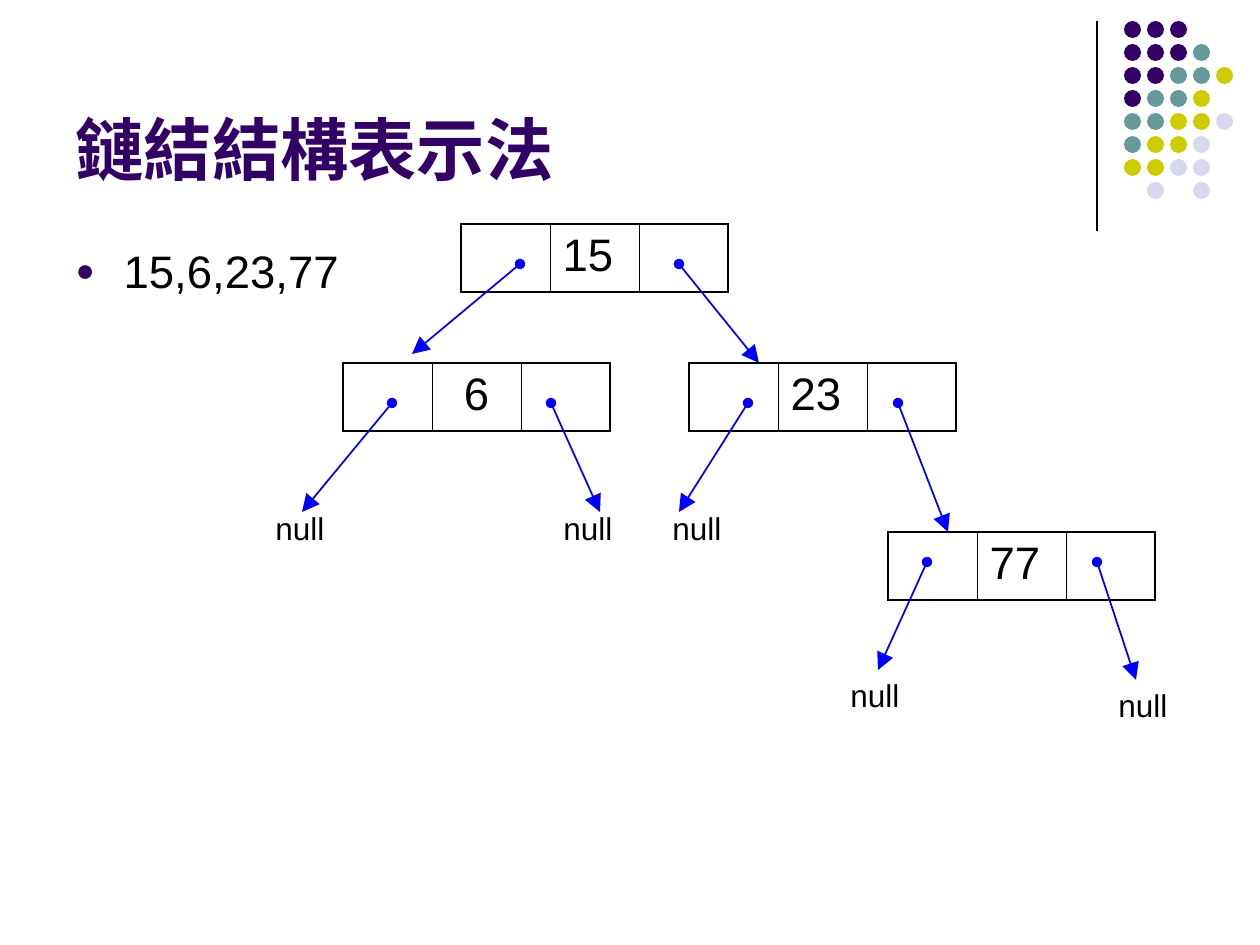
from lxml.etree import SubElement
from pptx import Presentation
from pptx.dml.color import RGBColor
from pptx.enum.shapes import MSO_CONNECTOR as LINE, MSO_SHAPE as SHAPE
from pptx.enum.text import MSO_ANCHOR as ANCHOR, MSO_AUTO_SIZE as FIT, PP_ALIGN as ALIGN
from pptx.oxml.ns import qn
from pptx.util import Inches, Pt

PURPLE = RGBColor(0x33, 0x00, 0x66)
TEAL = RGBColor(0x66, 0x99, 0x99)
OLIVE = RGBColor(0xCC, 0xCC, 0x00)
LILAC = RGBColor(0xD8, 0xD8, 0xEC)
BLACK = RGBColor(0x00, 0x00, 0x00)
BLUE = RGBColor(0x00, 0x00, 0xFF)

SCALE = Inches(1) / 126
CELL, ROW = 89, 68
DOTS = ["PPP", "PPPT", "PPTTO", "PTTO", "TTOOL", "TOOL", "OOLL", " L L"]
INKS = {"P": PURPLE, "T": TEAL, "O": OLIVE, "L": LILAC}

# Key, left, top, alignment, then links: start and end from the node's corner,
# and the offset of a null label from the link's end (None if it meets a node).
NODES = [
    ("15", 461, 224, ALIGN.LEFT, [((59, 40), (-49, 130), None),
                                  ((218, 40), (298, 139), None)]),
    ("23", 689, 363, ALIGN.LEFT, [((59, 40), (-10, 149), (-19, -9)),
                                  ((209, 40), (259, 169), None)]),
    ("6", 343, 363, ALIGN.CENTER, [((49, 40), (-41, 149), (-39, -9)),
                                   ((208, 40), (257, 149), (-49, -9))]),
    ("77", 888, 532, ALIGN.LEFT, [((39, 30), (-10, 138), (-40, 0)),
                                  ((209, 30), (248, 148), (-30, 0))]),
]


def px(*nums):
    return [round(n * SCALE) for n in nums]


def style(para, size, color=BLACK, bold=False):
    para.space_before = Pt(0)
    font = para.font
    font.name, font.size, font.bold = "Arial", Pt(size), bold
    font.color.rgb = color


def place(shape, left, top, width, height):
    shape.left, shape.top, shape.width, shape.height = px(left, top, width, height)


def add_line(slide, start, end, color, width):
    line = slide.shapes.add_connector(LINE.STRAIGHT, *px(*start, *end))
    line.line.color.rgb = color
    line.line.width = Pt(width)
    SubElement(line._element.spPr, qn("a:effectLst"))
    return line


def add_link(slide, start, end):
    """Draw an arrow with a dot at its start."""
    ln = add_line(slide, start, end, BLUE, 1).line._get_or_add_ln()
    SubElement(ln, qn("a:headEnd"), type="oval")
    SubElement(ln, qn("a:tailEnd"), type="triangle", w="lg", len="lg")


def add_null(slide, left, top):
    frame = slide.shapes.add_textbox(*px(left, top, 100, 50)).text_frame
    frame.word_wrap = True
    frame.text = "null"
    style(frame.paragraphs[0], 18)


def set_edge(cell, side, width):
    ln = SubElement(cell._tc.get_or_add_tcPr(), qn("a:ln" + side), w=str(Pt(width)))
    fill = SubElement(ln, qn("a:solidFill"))
    SubElement(fill, qn("a:srgbClr"), val=str(BLACK))


def add_node(slide, key, left, top, align, links):
    """Draw a three-cell node with its links and null labels."""
    table = slide.shapes.add_table(1, 3, *px(left, top, 3 * CELL, ROW)).table
    table.first_row = table.horz_banding = False
    for i, cell in enumerate(table.rows[0].cells):
        set_edge(cell, "L", 1.08 if i == 0 else 0.45)
        set_edge(cell, "R", 1.08 if i == 2 else 0.45)
        set_edge(cell, "T", 1.08)
        set_edge(cell, "B", 1.08)
        cell.fill.background()
    mid = table.cell(0, 1)
    mid.text = key
    para = mid.text_frame.paragraphs[0]
    para.alignment = align
    style(para, 26)

    for start, (dx, dy), label in links:
        end = left + dx, top + dy
        add_link(slide, (left + start[0], top + start[1]), end)
        if label:
            add_null(slide, end[0] + label[0], end[1] + label[1])


def add_decor(slide, left, top):
    """Draw the rule and the dot pattern at the corner."""
    add_line(slide, (left, top), (left, top + 210), BLACK, 0.75)
    for r, row in enumerate(DOTS):
        for c, ink in enumerate(row):
            if ink in INKS:
                box = px(left + 27 + 23 * c, top + 23 * r, 17, 17)
                dot = slide.shapes.add_shape(SHAPE.OVAL, *box)
                dot.shadow.inherit = False
                dot.fill.solid()
                dot.fill.fore_color.rgb = INKS[ink]
                dot.line.fill.background()


def set_title(shape, text):
    place(shape, 63, 16, 1040, 179)
    frame = shape.text_frame
    frame.text = text
    frame.auto_size = FIT.NONE
    frame.vertical_anchor = ANCHOR.BOTTOM
    para = frame.paragraphs[0]
    para.alignment = ALIGN.LEFT
    style(para, 39, PURPLE, True)


def set_body(shape, text):
    place(shape, 63, 237, 557, 607)
    frame = shape.text_frame
    frame.text = text
    frame.auto_size = FIT.NONE
    para = frame.paragraphs[0]
    props = para._p.get_or_add_pPr()
    hang = px(48)[0]
    props.set("marL", str(hang))
    props.set("indent", str(-hang))
    ink = SubElement(props, qn("a:buClr"))
    SubElement(ink, qn("a:srgbClr"), val=str(PURPLE))
    SubElement(props, qn("a:buSzPct"), val="70000")
    SubElement(props, qn("a:buFont"), typeface="Arial")
    SubElement(props, qn("a:buChar"), char="●")
    style(para, 26)


def main():
    deck = Presentation()
    deck.slide_width, deck.slide_height = Inches(10), Inches(7.5)
    slide = deck.slides.add_slide(deck.slide_layouts[1])
    add_decor(slide, 1097, 21)
    set_title(slide.shapes.title, "鏈結結構表示法")
    set_body(slide.placeholders[1], "15,6,23,77")
    for node in NODES:
        add_node(slide, *node)
    deck.save("out.pptx")


if __name__ == "__main__":
    main()
